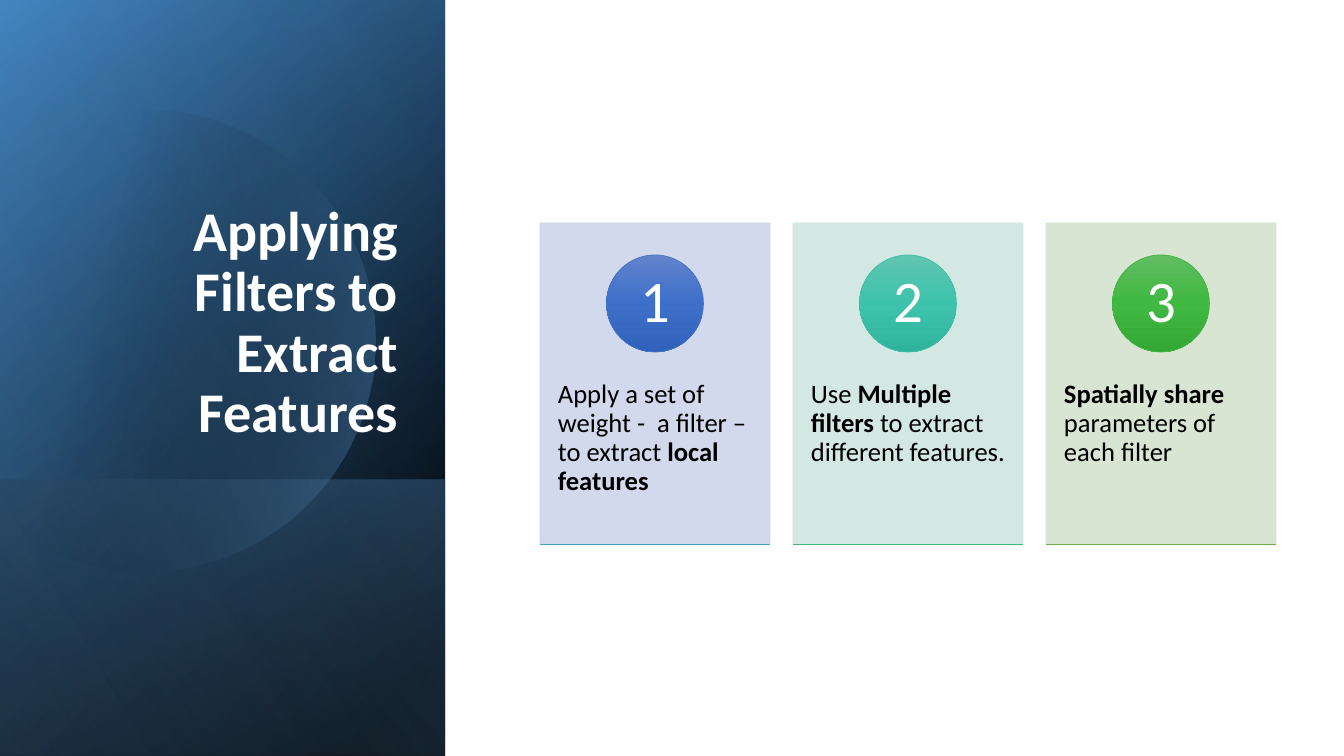
import math
from lxml import etree
from pptx import Presentation
from pptx import util as u
from pptx.dml.color import RGBColor
from pptx.enum import shapes, text
from pptx.oxml import parse_xml
from pptx.oxml.ns import nsdecls, qn

FONT = "Calibri"
COLORS = {"white": "FFFFFF", "black": "000000", "blue": "2E75B6",
          "sky": "5B9BD5", "pale": "9DC3E6"}
TITLE = "Applying Filters to Extract Features"
CARDS = [
    {"number": "1", "words": [("Apply a set of weight -  a filter – to extract ", False),
                              ("local features", True)],
     "fill": "CFD5EA", "badge": ["6183CB", "3E70CA", "3062BB"],
     "edge": "4472C4", "rule": "44A3C0"},
    {"number": "2", "words": [("Use ", False), ("Multiple filters ", True),
                              ("to extract different features.", False)],
     "fill": "CFE6E0", "badge": ["60C5B1", "3DC3AB", "30B39C"],
     "edge": "43BDA7", "rule": "44B874"},
    {"number": "3", "words": [("Spatially share ", True),
                              ("parameters of each filter", False)],
     "fill": "D5E3CF", "badge": ["61BD61", "40B841", "34A835"],
     "edge": "46B246", "rule": "70AD47"},
]
PANEL_WIDTH, PAGE_WIDTH, PAGE_HEIGHT = 445, 1344, 756
PANEL_LAYERS = [
    (0, 50, [(8, "black", 100), (100, "blue", 100)]),
    (0, 30, [(0, "black", 0), (99, "sky", 46)]),
    (480, 130, [(2, "sky", 29), (100, "black", 30)]),
]
DISC_STOPS = [(29, "black", 0), (100, "sky", 43)]
SHEEN = (0, 120, [(0, "black", 0), (99, "pale", 11)])
DISC_X, DISC_Y, DISC_RADIUS = 144, 341, 231
CARD_LEFT, CARD_TOP, CARD_WIDTH, CARD_HEIGHT, CARD_STEP = 540, 223, 230, 321, 253
BADGE_TOP, BADGE_SIZE = 255, 97
WORDS_TOP, WORDS_HEIGHT = 345, 192


def px(length):
    return u.Emu(round(length * 914400 / 100.8))


def rgb(name):
    return RGBColor.from_string(COLORS.get(name, name))


def shade(shape, stops, angle):
    marks = "".join(
        f'<a:gs pos="{place * 1000}"><a:srgbClr val="{COLORS.get(color, color)}">'
        f'<a:alpha val="{alpha * 1000}"/></a:srgbClr></a:gs>'
        for place, color, alpha in stops)
    shape.fill.background()
    properties = shape.element.spPr
    properties.replace(properties.find(qn("a:noFill")), parse_xml(
        f'<a:gradFill rotWithShape="1" {nsdecls("a")}><a:gsLst>{marks}</a:gsLst>'
        f'<a:lin ang="{angle * 60000}" scaled="0"/></a:gradFill>'))


def add_shape(kind, left, top, width, height, edge=None):
    shape = page.shapes.add_shape(kind, px(left), px(top), px(width), px(height))
    shape.shadow.inherit = False
    if edge:
        shape.line.color.rgb = rgb(edge)
        shape.line.width = u.Pt(0.5)
    else:
        shape.line.fill.background()
    return shape


def add_layer(top, angle, stops):
    height = PAGE_HEIGHT - top
    left = (PANEL_WIDTH - height) / 2
    layer = add_shape(shapes.MSO_SHAPE.RECTANGLE, left,
                      top + (height - PANEL_WIDTH) / 2, height, PANEL_WIDTH)
    layer.rotation = 90
    layer.element.spPr.find(qn("a:xfrm")).set("flipH", "1")
    shade(layer, stops, angle)


def add_disc():
    limit = math.acos(-DISC_X / DISC_RADIUS)
    angles = [limit * step / 60 for step in range(-60, 61)]
    points = [(px(DISC_X + DISC_RADIUS * math.cos(a)),
               px(DISC_Y + DISC_RADIUS * math.sin(a))) for a in angles]
    builder = page.shapes.build_freeform(*points[0])
    builder.add_line_segments(points[1:], close=True)
    disc = builder.convert_to_shape()
    disc.shadow.inherit = False
    disc.line.fill.background()
    shade(disc, DISC_STOPS, 14)


def write(shape, words, size, color, align, anchor, insets):
    frame = shape.text_frame
    frame.word_wrap = True
    frame.vertical_anchor = anchor
    frame.margin_left = frame.margin_right = px(insets[0])
    frame.margin_top = frame.margin_bottom = px(insets[1])
    para = frame.paragraphs[0]
    para.alignment = align
    para.line_spacing = 0.9
    for content, bold in words:
        span = para.add_run()
        span.text = content
        span.font.name = FONT
        span.font.size = u.Pt(size)
        span.font.bold = bold
        span.font.color.rgb = rgb(color)


def add_text(left, top, width, height, *style):
    box = page.shapes.add_textbox(px(left), px(top), px(width), px(height))
    write(box, *style)


def add_card(index, card):
    left = CARD_LEFT + index * CARD_STEP
    bottom = CARD_TOP + CARD_HEIGHT
    back = add_shape(shapes.MSO_SHAPE.RECTANGLE, left, CARD_TOP,
                     CARD_WIDTH, CARD_HEIGHT, card["fill"])
    back.fill.solid()
    back.fill.fore_color.rgb = rgb(card["fill"])
    for color in back.element.spPr.iter(qn("a:srgbClr")):
        etree.SubElement(color, qn("a:alpha")).set("val", "90000")
    add_text(left, WORDS_TOP, CARD_WIDTH, WORDS_HEIGHT, card["words"], 19, "black",
             text.PP_ALIGN.LEFT, text.MSO_ANCHOR.TOP, (18, 36))
    badge = add_shape(shapes.MSO_SHAPE.OVAL, left + (CARD_WIDTH - BADGE_SIZE) / 2,
                      BADGE_TOP, BADGE_SIZE, BADGE_SIZE, card["edge"])
    shade(badge, [(50 * i, color, 100) for i, color in enumerate(card["badge"])], 90)
    write(badge, [(card["number"], False)], 42, "white",
          text.PP_ALIGN.CENTER, text.MSO_ANCHOR.MIDDLE, (0, 0))
    rule = page.shapes.add_connector(shapes.MSO_CONNECTOR.STRAIGHT, px(left), px(bottom),
                                     px(left + CARD_WIDTH), px(bottom))
    rule.line.color.rgb = rgb(card["rule"])
    rule.line.width = u.Pt(0.5)
    etree.SubElement(rule.element.spPr, qn("a:effectLst"))


deck = Presentation()
deck.slide_width, deck.slide_height = px(PAGE_WIDTH), px(PAGE_HEIGHT)
page = deck.slides.add_slide(deck.slide_layouts[6])
for panel_layer in PANEL_LAYERS:
    add_layer(*panel_layer)
add_disc()
add_layer(*SHEEN)
add_text(64, 185, 344, 265, [(TITLE, True)], 40, "white",
         text.PP_ALIGN.RIGHT, text.MSO_ANCHOR.BOTTOM, (10, 5))
for card_index, card_data in enumerate(CARDS):
    add_card(card_index, card_data)
deck.save("out.pptx")
